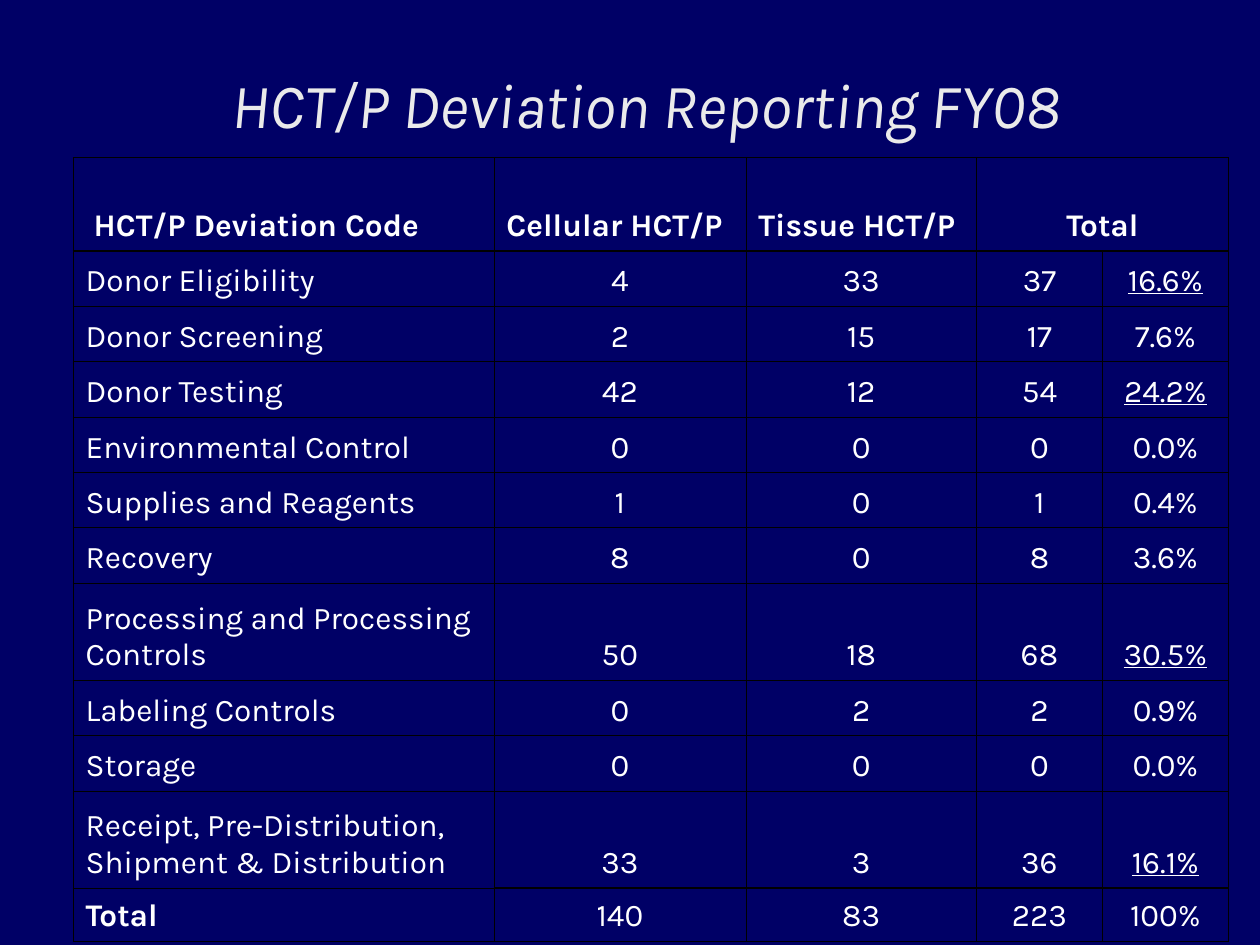
from dataclasses import dataclass

from lxml.etree import SubElement
from pptx import Presentation
from pptx.dml.color import RGBColor
from pptx.enum.text import MSO_ANCHOR as Anchor, MSO_AUTO_SIZE as AutoSize, PP_ALIGN as Align
from pptx.oxml import parse_xml
from pptx.oxml.ns import nsdecls, qn
from pptx.util import Pt


@dataclass(frozen=True)
class Theme:
    font: str = "Karla"
    background: str = "000066"
    title: str = "EAEAEA"
    text: str = "FFFFFF"
    border: str = "000000"
    title_size: float = 36
    text_size: float = 18
    thin: float = 0.45
    heavy: float = 0.96


@dataclass(frozen=True)
class Box:
    left: float
    top: float
    width: float
    height: float

    def lengths(self):
        return [Pt(value) for value in (self.left, self.top, self.width, self.height)]


THEME = Theme()
HEADER = [" HCT/P Deviation Code", "Cellular HCT/P", "Tissue HCT/P", "Total", ""]
DEVIATIONS = [
    ["Donor Eligibility", "4", "33", "37", "16.6%"],
    ["Donor Screening", "2", "15", "17", "7.6%"],
    ["Donor Testing", "42", "12", "54", "24.2%"],
    ["Environmental Control", "0", "0", "0", "0.0%"],
    ["Supplies and Reagents", "1", "0", "1", "0.4%"],
    ["Recovery", "8", "0", "8", "3.6%"],
    ["Processing and Processing Controls", "50", "18", "68", "30.5%"],
    ["Labeling Controls", "0", "2", "2", "0.9%"],
    ["Storage", "0", "0", "0", "0.0%"],
    ["Receipt, Pre-Distribution, Shipment & Distribution", "33", "3", "36", "16.1%"],
]
TOTALS = ["Total", "140", "83", "223", "100%"]
MAJOR_SHARES = {"16.6%", "24.2%", "30.5%", "16.1%"}

# Relative sizes, scaled to the table's box
COLUMN_WEIGHTS = [3.34, 2, 1.83, 1, 1]
SINGLE, DOUBLE = 0.44, 0.77
ROW_WEIGHTS = [0.74, *[SINGLE] * 6, DOUBLE, SINGLE, SINGLE, DOUBLE, 0.42]


def style_font(font, size, color):
    font.name = THEME.font
    font.size = Pt(size)
    font.color.rgb = RGBColor.from_string(color)


def set_borders(cell, widths):
    """Draw the cell's lines; widths are left, right, top, bottom."""
    properties = cell._tc.get_or_add_tcPr()
    for index, (side, width) in enumerate(zip("LRTB", widths)):
        line = parse_xml(f'<a:ln{side} {nsdecls("a")} w="{Pt(width)}"/>')
        fill = SubElement(line, qn("a:solidFill"))
        SubElement(fill, qn("a:srgbClr"), val=THEME.border)
        properties.insert(index, line)


def border_widths(row, column, last_row):
    """Heavy lines set off the header, the totals row and the total columns."""
    def weight(is_heavy):
        return THEME.heavy if is_heavy else THEME.thin

    has_totals_line = column > 0
    return (
        weight(column == 3),
        weight(column == 2),
        weight(row == 1 or (row == last_row and has_totals_line)),
        weight(row == 0 or (row == last_row - 1 and has_totals_line)),
    )


def add_title(slide, box, text):
    shape = slide.shapes.add_textbox(*box.lengths())
    frame = shape.text_frame
    frame.word_wrap = True
    frame.auto_size = AutoSize.SHAPE_TO_FIT_TEXT
    frame.text = text
    paragraph = frame.paragraphs[0]
    paragraph.alignment = Align.CENTER
    run = paragraph.runs[0]
    style_font(run.font, THEME.title_size, THEME.title)
    run.font.italic = True


def fill_cell(cell, text, row, column, last_row):
    cell.fill.background()
    cell.vertical_anchor = Anchor.BOTTOM
    set_borders(cell, border_widths(row, column, last_row))
    cell.text_frame.text = text
    paragraph = cell.text_frame.paragraphs[0]
    is_centred = column == 3 or (row > 0 and column > 0)
    paragraph.alignment = Align.CENTER if is_centred else Align.LEFT
    for run in paragraph.runs:
        style_font(run.font, THEME.text_size, THEME.text)
        run.font.bold = row == 0 or (row == last_row and column == 0)
        run.font.underline = text in MAJOR_SHARES


def add_deviation_table(slide, box, rows):
    shape = slide.shapes.add_table(len(rows), len(rows[0]), *box.lengths())
    table = shape.table
    table.first_row = table.horz_banding = False

    # Grid
    for column, weight in zip(table.columns, COLUMN_WEIGHTS):
        column.width = Pt(box.width * weight / sum(COLUMN_WEIGHTS))
    for row, weight in zip(table.rows, ROW_WEIGHTS):
        row.height = Pt(box.height * weight / sum(ROW_WEIGHTS))

    # Contents
    for row_index, values in enumerate(rows):
        for column_index, text in enumerate(values):
            cell = table.cell(row_index, column_index)
            fill_cell(cell, text, row_index, column_index, len(rows) - 1)

    # The total heading covers count and share
    table.cell(0, 3).merge(table.cell(0, 4))


def main():
    presentation = Presentation()
    presentation.slide_width, presentation.slide_height = Pt(720), Pt(540)
    slide = presentation.slides.add_slide(presentation.slide_layouts[6])
    background = slide.background.fill
    background.solid()
    background.fore_color.rgb = RGBColor.from_string(THEME.background)

    add_deviation_table(slide, Box(41.76, 90, 660.24, 448), [HEADER, *DEVIATIONS, TOTALS])
    add_title(slide, Box(60, 34, 618, 50.4), "HCT/P Deviation Reporting FY08")
    presentation.save("out.pptx")


if __name__ == "__main__":
    main()
